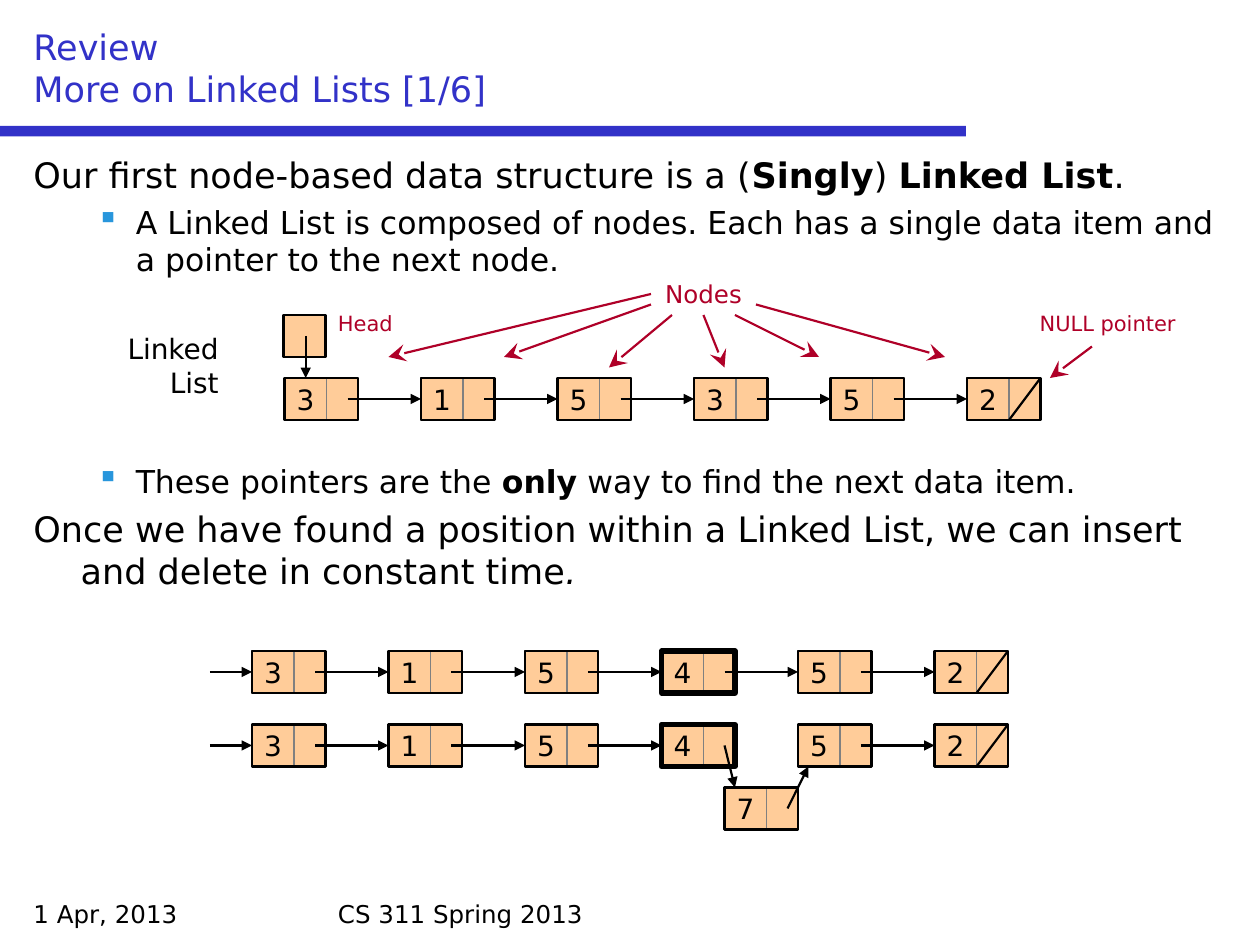
from pptx import Presentation
from pptx import util as u
from pptx.dml.color import RGBColor
from pptx.enum import shapes, text
from pptx.oxml.ns import qn
from lxml import etree

BLACK, BLUE, RED, PEACH, GRAY, SKY = "000000", "3232C8", "AF0028", "FFCC99", "808080", "2896DC"
DATA_W, POINTER_W, NODE_H, PITCH = 24, 18, 24, 78
NODE_W = DATA_W + POINTER_W
LEFT, CENTER, RIGHT = text.PP_ALIGN.LEFT, text.PP_ALIGN.CENTER, text.PP_ALIGN.RIGHT


def color(value):
    """Turn a hex string into a colour."""
    return RGBColor.from_string(value)


class Deck:
    """Holds the style and the current slide; lengths are points."""

    font = "DejaVu Sans"
    line_width = 1.25

    def __init__(self, width, height):
        """Start a presentation with one blank slide."""
        self.deck = Presentation()
        self.deck.slide_width, self.deck.slide_height = u.Pt(width), u.Pt(height)
        self.slide = self.deck.slides.add_slide(self.deck.slide_layouts[6])

    def style(self, run, size, ink=BLACK, bold=False, italic=False):
        """Set the font of a run."""
        run.font.name, run.font.size = self.font, u.Pt(size)
        run.font.bold, run.font.italic = bold, italic
        run.font.color.rgb = color(ink)

    def frame(self, x, y, w, h):
        """Add a wrapping text box and return its text frame."""
        frame = self.slide.shapes.add_textbox(*map(u.Pt, (x, y, w, h))).text_frame
        frame.word_wrap = True
        return frame

    def label(self, words, x, y, w, h, size, ink=BLACK, align=LEFT, anchor=text.MSO_ANCHOR.TOP):
        """Add text in a single style."""
        frame = self.frame(x, y, w, h)
        frame.text, frame.vertical_anchor = words, anchor
        frame.paragraphs[0].alignment = align
        for run in frame.paragraphs[0].runs:
            self.style(run, size, ink)

    def paragraph(self, para, pieces, size, before, margin, hang, bullet=None):
        """Fill a paragraph with (words, format) pieces, a hanging indent and a bullet."""
        para.space_before = u.Pt(before)
        props = para._p.get_or_add_pPr()
        props.set("marL", str(u.Pt(margin)))
        props.set("indent", str(-u.Pt(hang)))
        if bullet:
            tint = etree.SubElement(props, qn("a:buClr"))
            etree.SubElement(tint, qn("a:srgbClr"), val=SKY)
            etree.SubElement(props, qn("a:buChar"), char=bullet)
        for words, look in pieces:
            run = para.add_run()
            run.text = words
            self.style(run, size, **look)

    def box(self, x, y, w, h, fill=None, line=None, width=line_width):
        """Add a rectangle."""
        rect = self.slide.shapes.add_shape(shapes.MSO_SHAPE.RECTANGLE, *map(u.Pt, (x, y, w, h)))
        rect.shadow.inherit = False
        if fill:
            rect.fill.solid()
            rect.fill.fore_color.rgb = color(fill)
        else:
            rect.fill.background()
        if line:
            rect.line.color.rgb, rect.line.width = color(line), u.Pt(width)
        else:
            rect.line.fill.background()
        return rect

    def line(self, start, end, ink=BLACK, head=None, head_size="med"):
        """Add a straight line, with an arrowhead at its end if one is named."""
        link = self.slide.shapes.add_connector(
            shapes.MSO_CONNECTOR.STRAIGHT, *map(u.Pt, (*start, *end)))
        link.line.color.rgb, link.line.width = color(ink), u.Pt(self.line_width)
        if head:
            etree.SubElement(link.line._get_or_add_ln(), qn("a:tailEnd"),
                             type=head, w=head_size, len=head_size)
        etree.SubElement(link._element.spPr, qn("a:effectLst"))

    def pointer(self, start, end):
        """Add a black link between nodes."""
        self.line(start, end, head="triangle")

    def callout(self, start, end):
        """Add a red arrow from a caption."""
        self.line(start, end, RED, "stealth", "lg")

    def node(self, value, x, y, outline=line_width):
        """Add a list node: data cell, pointer cell and outline."""
        data = self.box(x, y, DATA_W, NODE_H, PEACH, GRAY, 0.75)
        frame = data.text_frame
        frame.text, frame.word_wrap = str(value), False
        frame.vertical_anchor = text.MSO_ANCHOR.MIDDLE
        frame.paragraphs[0].alignment = CENTER
        self.style(frame.paragraphs[0].runs[0], 16)
        self.box(x + DATA_W, y, POINTER_W, NODE_H, PEACH, GRAY, 0.75)
        self.box(x, y, NODE_W, NODE_H, None, BLACK, outline)

    def linked_list(self, values, x, y, marked=None, unlinked=None):
        """Add a row of nodes ending in a null slash; one may be marked or left unlinked."""
        middle = y + NODE_H / 2
        for i, value in enumerate(values):
            left = x + i * PITCH
            self.node(value, left, y, 3 if i == marked else self.line_width)
            if i == len(values) - 1:
                self.line((left + DATA_W, y + NODE_H), (left + NODE_W, y))
            elif i != unlinked:
                self.pointer((left + 36, middle), (left + PITCH, middle))


deck = Deck(720, 540)
deck.box(0, 72, 552, 6, BLUE)
deck.label("1 Apr, 2013", 12, 510, 168, 24, 14)
deck.label("CS 311 Spring 2013", 186, 510, 348, 24, 14)
deck.label("Review\vMore on Linked Lists [1/6]", 12, 12, 696, 54, 20, BLUE,
           anchor=text.MSO_ANCHOR.BOTTOM)

PLAIN, BOLD, ITALIC = {}, {"bold": True}, {"italic": True}
TOP_LEVEL = {"size": 20, "margin": 27, "hang": 27}
SUB_LEVEL = {"size": 18, "margin": 58.5, "hang": 22.5, "bullet": "▪"}
DIAGRAM_GAP = 104.8
body = [
    ([("Our first node-based data structure is a (", PLAIN), ("Singly", BOLD), (") ", PLAIN),
      ("Linked List", BOLD), (".", PLAIN)], 0, TOP_LEVEL),
    ([("A Linked List is composed of nodes. Each has a single data item and "
       "a pointer to the next node.", PLAIN)], 4.2, SUB_LEVEL),
    ([("These pointers are the ", PLAIN), ("only", BOLD),
      (" way to find the next data item.", PLAIN)], DIAGRAM_GAP, SUB_LEVEL),
    ([("Once we have found a position within a Linked List, we can insert "
       "and delete in constant time", PLAIN), (".", ITALIC)], 4.7, TOP_LEVEL),
]
body_frame = deck.frame(12, 84, 696, 420)
for i, (pieces, before, level) in enumerate(body):
    para = body_frame.add_paragraph() if i else body_frame.paragraphs[0]
    deck.paragraph(para, pieces, before=before, **level)

# Insertion: the list before and after adding a node
ROW_X, BEFORE_Y, AFTER_Y = 144, 372, 414
for row_y, unlinked in ((BEFORE_Y, None), (AFTER_Y, 3)):
    deck.linked_list([3, 1, 5, 4, 5, 2], ROW_X, row_y, marked=3, unlinked=unlinked)
    deck.pointer((120, row_y + 12), (ROW_X, row_y + 12))
deck.node(7, 414, 450)
deck.pointer((414, 426), (420, 450))
deck.pointer((450, 462), (462, 438))

# Structure: head, nodes and null pointer
deck.linked_list([3, 1, 5, 3, 5, 2], 162.6, 216)
deck.box(162, 180, 24, 24, PEACH, BLACK)
deck.pointer((174.7, 192), (174.7, 216))
deck.label("Head", 186, 174, 66, 21.8, 12, RED)
deck.label("NULL pointer", 564, 174, 138, 21.8, 12, RED, CENTER)
deck.label("Linked List", 54, 186, 78, 46, 16, align=RIGHT)
deck.label("Nodes", 366, 156, 72, 24.2, 14, RED, CENTER)
for start, end in [
    ((624, 198), (600, 216)),
    ((372, 174), (288, 204)),
    ((384, 180), (348, 210)),
    ((402, 180), (414, 210)),
    ((420, 180), (468, 204)),
    ((432, 174), (540, 204)),
    ((372, 168), (222, 204)),
]:
    deck.callout(start, end)

deck.deck.save("out.pptx")
